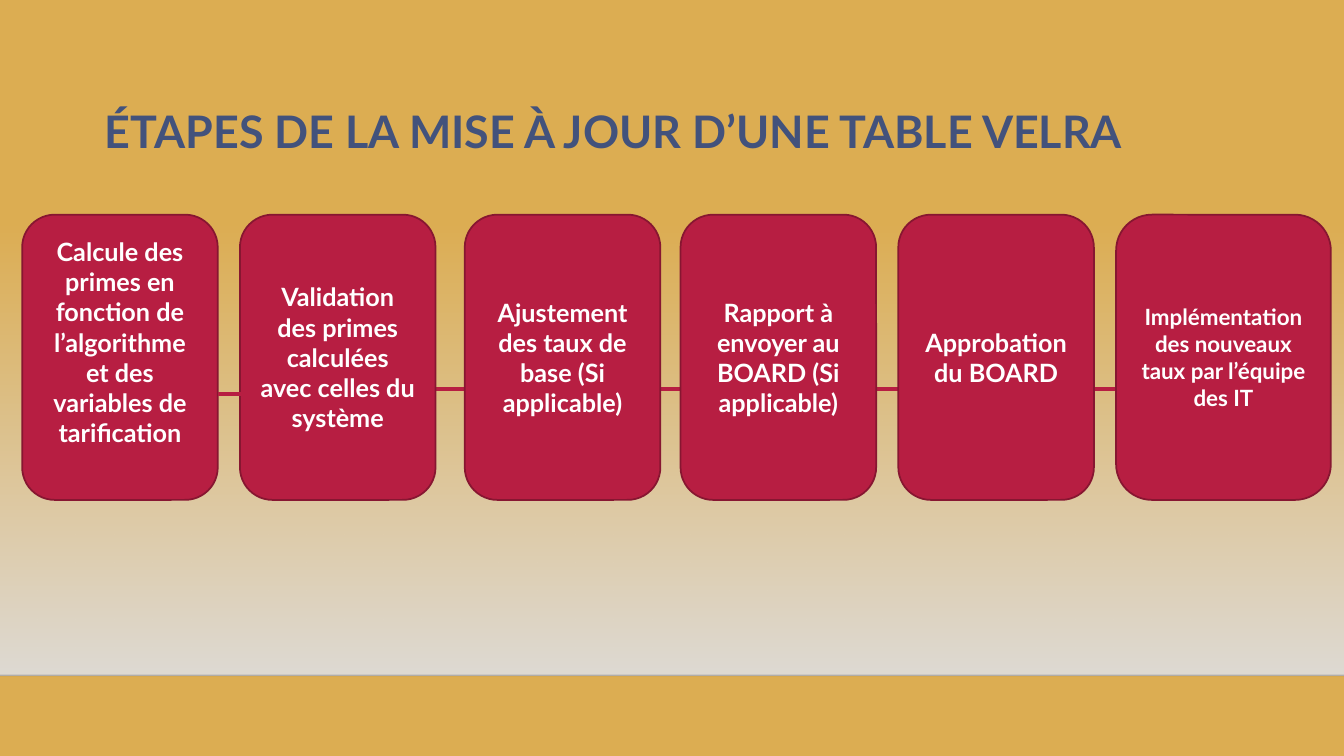
"""Build the slide showing the steps for updating a rate table."""
import dataclasses

import lxml.etree
import pptx
import pptx.dml.color
import pptx.enum.shapes
import pptx.enum.text
import pptx.oxml.ns
import pptx.util

Inches = pptx.util.Inches
Pt = pptx.util.Pt
RGBColor = pptx.dml.color.RGBColor

GOLD = RGBColor(0xDC, 0xAD, 0x52)
SAND = RGBColor(0xDF, 0xDB, 0xD5)
NEAR_BLACK = RGBColor(0x00, 0x00, 0x01)
CRIMSON = RGBColor(0xB7, 0x1E, 0x42)
DARK_CRIMSON = RGBColor(0x87, 0x16, 0x31)
SLATE = RGBColor(0x42, 0x52, 0x7C)
WHITE = RGBColor(0xFF, 0xFF, 0xFF)
FONT = "Lato"
SLIDE_WIDTH = 13.33
FLOOR_TOP = 6.7
STEP_TOP = 2.13
STEP_HEIGHT = 2.83


@dataclasses.dataclass(frozen=True)
class Step:
    """One step of the process, measured in inches and points."""
    left: float
    text: str
    width: float = 1.94
    size: int = 18
    bottom_inset: float = 0.05


@dataclasses.dataclass(frozen=True)
class Rule:
    """A horizontal line, measured in inches and points."""
    start: float
    end: float
    y: float
    color: RGBColor = CRIMSON
    weight: float = 2.5
    opacity: int = 100


STEPS = [
    Step(0.22, "Calcule des primes en fonction de l’algorithme et des variables "
               "de tarification", bottom_inset=0.35),
    Step(2.38, "Validation des primes calculées avec celles du système"),
    Step(4.61, "Ajustement des taux de base (Si applicable)"),
    Step(6.75, "Rapport à envoyer au BOARD (Si applicable)"),
    Step(8.91, "Approbation du BOARD"),
    Step(11.07, "Implémentation des nouveaux taux par l’équipe des IT",
         width=2.13, size=16),
]
FLOOR_EDGE = Rule(0, SLIDE_WIDTH, FLOOR_TOP, NEAR_BLACK, 1, 20)
STEP_LINE = Rule(2.64, 12.09, 3.86)
FIRST_LINK = Rule(2.16, 2.47, 3.91)


def set_opacities(element: lxml.etree._Element, opacities: list[int]) -> None:
    """Give each colour inside the element its opacity in percent."""
    colors = element.iter(pptx.oxml.ns.qn("a:srgbClr"))
    for color, opacity in zip(colors, opacities):
        alpha = lxml.etree.SubElement(color, pptx.oxml.ns.qn("a:alpha"))
        alpha.set("val", str(opacity * 1000))


def add_rule(slide: pptx.slide.Slide, rule: Rule) -> None:
    """Draw a horizontal line without a shadow."""
    line = slide.shapes.add_connector(
        pptx.enum.shapes.MSO_CONNECTOR.STRAIGHT,
        Inches(rule.start), Inches(rule.y), Inches(rule.end), Inches(rule.y))
    line.line.color.rgb = rule.color
    line.line.width = Pt(rule.weight)
    if rule.opacity < 100:
        set_opacities(line.element, [rule.opacity])
    lxml.etree.SubElement(line.element.spPr, pptx.oxml.ns.qn("a:effectLst"))


def add_fade(slide: pptx.slide.Slide) -> None:
    """Draw the band that fades in towards the floor edge."""
    top = 2.21
    band = slide.shapes.add_shape(
        pptx.enum.shapes.MSO_SHAPE.RECTANGLE,
        0, Inches(top), Inches(SLIDE_WIDTH), Inches(FLOOR_TOP - top))
    band.shadow.inherit = False
    band.line.fill.background()
    band.fill.gradient()
    band.fill.gradient_angle = 270
    for stop in band.fill.gradient_stops:
        stop.color.rgb = SAND
    set_opacities(band.element.spPr, [0, 100])


def format_text(para: pptx.text.text._Paragraph, size: int, color: RGBColor,
                alignment: pptx.enum.text.PP_ALIGN) -> None:
    """Set the bold font and the alignment of a paragraph."""
    para.alignment = alignment
    para.font.name = FONT
    para.font.size = Pt(size)
    para.font.bold = True
    para.font.color.rgb = color


def fill_title(slide: pptx.slide.Slide) -> None:
    """Place and format the title."""
    title = slide.shapes.title
    title.left, title.top = Inches(0.94), Inches(0.22)
    title.width, title.height = Inches(11.72), Inches(1.35)
    frame = title.text_frame
    frame.text = "ÉTAPES DE LA MISE À JOUR D’UNE TABLE VELRA"
    frame.auto_size = pptx.enum.text.MSO_AUTO_SIZE.NONE
    frame.vertical_anchor = pptx.enum.text.MSO_ANCHOR.BOTTOM
    frame.margin_bottom = 0
    para = frame.paragraphs[0]
    para.line_spacing = 0.9
    format_text(para, 32, SLATE, pptx.enum.text.PP_ALIGN.LEFT)


def add_step(slide: pptx.slide.Slide, step: Step) -> None:
    """Draw the rounded box of one step."""
    box = slide.shapes.add_shape(
        pptx.enum.shapes.MSO_SHAPE.ROUNDED_RECTANGLE,
        Inches(step.left), Inches(STEP_TOP), Inches(step.width), Inches(STEP_HEIGHT))
    box.shadow.inherit = False
    box.fill.solid()
    box.fill.fore_color.rgb = CRIMSON
    box.line.color.rgb = DARK_CRIMSON
    box.line.width = Pt(1.25)
    frame = box.text_frame
    frame.text = step.text
    frame.word_wrap = True
    frame.vertical_anchor = pptx.enum.text.MSO_ANCHOR.MIDDLE
    frame.margin_bottom = Inches(step.bottom_inset)
    format_text(frame.paragraphs[0], step.size, WHITE, pptx.enum.text.PP_ALIGN.CENTER)


def main() -> None:
    """Build and save the deck."""
    deck = pptx.Presentation()
    deck.slide_width, deck.slide_height = Inches(SLIDE_WIDTH), Inches(7.5)
    page = deck.slides.add_slide(deck.slide_layouts.get_by_name("Title Only"))
    page.background.fill.solid()
    page.background.fill.fore_color.rgb = GOLD
    fill_title(page)
    add_fade(page)
    add_rule(page, FLOOR_EDGE)
    add_rule(page, STEP_LINE)
    for step in STEPS:
        add_step(page, step)
    add_rule(page, FIRST_LINK)
    deck.save("out.pptx")


main()
